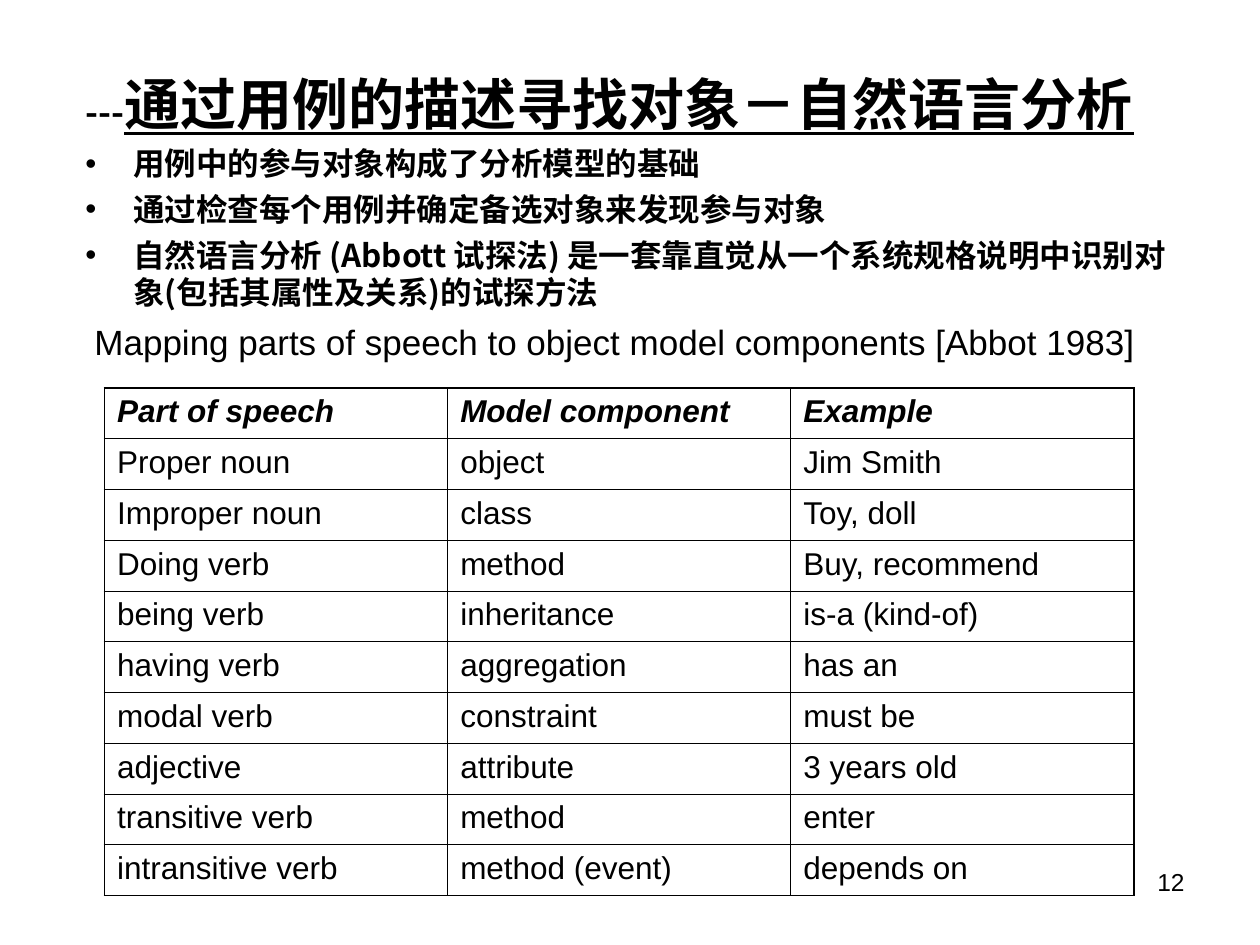
"""Build a slide on finding objects through natural language analysis of use cases."""
from lxml.etree import SubElement
from pptx import Presentation
from pptx.dml.color import RGBColor
from pptx.enum.text import MSO_ANCHOR, PP_ALIGN
from pptx.oxml.ns import qn
from pptx.util import Inches, Pt

BLACK = RGBColor(0x00, 0x00, 0x00)
LATIN_FONT = "Arial"
CHINESE_FONT = "Noto Sans CJK SC"
THIN, THICK = Pt(0.45), Pt(1.08)

HEADING = [
    ("---", 20, False),
    ("通过用例的描述寻找对象－自然语言分析", 32, True),
]
BULLETS = [
    "用例中的参与对象构成了分析模型的基础",
    "通过检查每个用例并确定备选对象来发现参与对象",
    "自然语言分析 (Abbott 试探法) 是一套靠直觉从一个系统规格说明中识别对象(包括其属性及关系)的试探方法",
]
ROWS = [
    ("Part of speech", "Model component", "Example"),
    ("Proper noun", "object", "Jim Smith"),
    ("Improper noun", "class", "Toy, doll"),
    ("Doing verb", "method", "Buy, recommend"),
    ("being verb", "inheritance", "is-a (kind-of)"),
    ("having verb", "aggregation", "has an"),
    ("modal verb", "constraint", "must be"),
    ("adjective", "attribute", "3 years old"),
    ("transitive verb", "method", "enter"),
    ("intransitive verb", "method (event)", "depends on"),
]


def add_run(paragraph, text, size, font=LATIN_FONT, bold=False):
    run = paragraph.add_run()
    run.text = text
    run.font.size = Pt(size)
    run.font.name = font
    run.font.bold = bold
    run.font.color.rgb = BLACK
    if font == CHINESE_FONT:
        SubElement(run.font._element, qn("a:ea"), typeface=font)
    return run


def add_border(cell, side, width):
    line = SubElement(cell._tc.get_or_add_tcPr(), qn(f"a:{side}"), w=str(width))
    fill = SubElement(line, qn("a:solidFill"))
    SubElement(fill, qn("a:srgbClr"), val=str(BLACK))


presentation = Presentation()
presentation.slide_width = Inches(10)
presentation.slide_height = Inches(7.5)
slide = presentation.slides.add_slide(presentation.slide_layouts[5])

title = slide.shapes.title
title.left, title.top = Inches(0.42), Inches(2.5)
title.width, title.height = Inches(8.92), Inches(0.42)
title.text_frame.vertical_anchor = MSO_ANCHOR.MIDDLE
paragraph = title.text_frame.paragraphs[0]
paragraph.alignment = PP_ALIGN.CENTER
add_run(paragraph, "Mapping parts of speech to object model components [Abbot 1983]", 20)

number_box = slide.shapes.add_textbox(Inches(7.17), Inches(6.83), Inches(2.33), Inches(0.52))
number_box.text_frame.word_wrap = True
paragraph = number_box.text_frame.paragraphs[0]
paragraph.alignment = PP_ALIGN.RIGHT
add_run(paragraph, "12", 14)

body_box = slide.shapes.add_textbox(Inches(0.58), Inches(0.5), Inches(8.83), Inches(2))
body_frame = body_box.text_frame
body_frame.word_wrap = True
paragraph = body_frame.paragraphs[0]
for text, size, underline in HEADING:
    run = add_run(paragraph, text, size, CHINESE_FONT, True)
    run.font.underline = underline
for text in BULLETS:
    paragraph = body_frame.add_paragraph()
    properties = paragraph._p.get_or_add_pPr()
    properties.set("marL", str(Inches(0.38)))
    properties.set("indent", str(Inches(-0.38)))
    SubElement(properties, qn("a:buFont"), typeface=LATIN_FONT)
    SubElement(properties, qn("a:buChar"), char="•")
    paragraph.space_before = Pt(4.5)
    add_run(paragraph, text, 18, CHINESE_FONT, True)

column_count = len(ROWS[0])
last_row, last_column = len(ROWS) - 1, column_count - 1
table = slide.shapes.add_table(
    len(ROWS), column_count, Inches(0.83), Inches(3.08), Inches(8.17), Inches(4.03)
).table
table.first_row = False
table.horz_banding = False
for row_index, row in enumerate(ROWS):
    for column_index, text in enumerate(row):
        cell = table.cell(row_index, column_index)
        add_border(cell, "lnL", THICK if column_index == 0 else THIN)
        add_border(cell, "lnR", THICK if column_index == last_column else THIN)
        add_border(cell, "lnT", THICK if row_index == 0 else THIN)
        add_border(cell, "lnB", THICK if row_index == last_row else THIN)
        cell.fill.background()
        is_header = row_index == 0
        run = add_run(cell.text_frame.paragraphs[0], text, 18, bold=is_header)
        run.font.italic = is_header

presentation.save("out.pptx")
